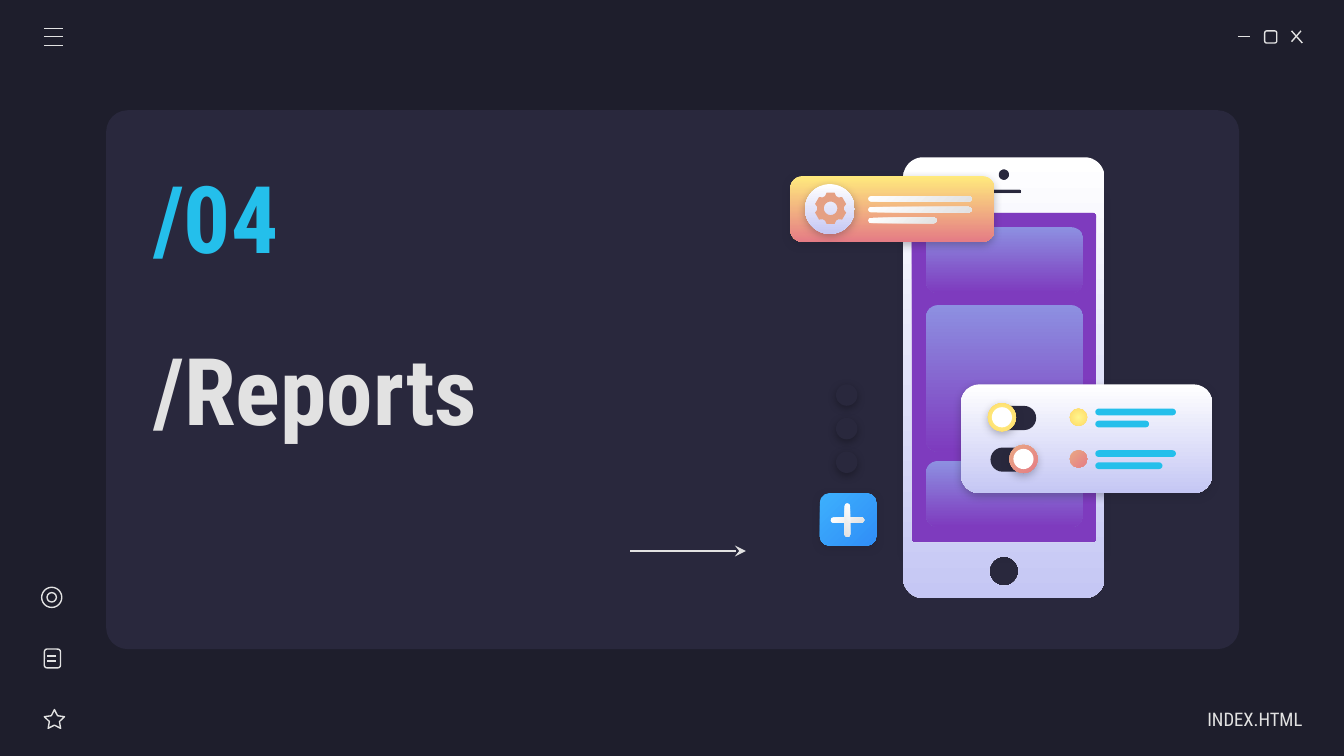
import math
from dataclasses import dataclass
from typing import Any

import lxml.etree
import pptx
import pptx.util
import pptx.dml.color
import pptx.enum.shapes
import pptx.enum.text
import pptx.oxml.ns

Inches = pptx.util.Inches
Pt = pptx.util.Pt
Kind = pptx.enum.shapes.MSO_SHAPE
Align = pptx.enum.text.PP_ALIGN
qn = pptx.oxml.ns.qn

DARK, PANEL, PALE, CYAN, WHITE = "1E1E2C", "29283D", "E2E2E2", "24BFEB", "FFFFFF"
PURPLE = "7E3BBE"


@dataclass(frozen=True)
class Grad:
    start: str
    end: str
    angle: int = 90
    round: bool = False


@dataclass(frozen=True)
class Part:
    x: float
    y: float
    w: float
    h: float
    fill: Any = None
    adj: float | None = None
    kind: Any = Kind.ROUNDED_RECTANGLE
    shade: str | None = None
    turn: int = 0


@dataclass(frozen=True)
class Stroke:
    x: float
    y: float
    to_x: float
    to_y: float


@dataclass(frozen=True)
class Switch:
    y: float
    knob: float
    fill: Grad
    short: float


SILVER = Grad(WHITE, "C5C7F4")
SHINE = Grad(WHITE, PALE, 45)
TILE = Grad("8D90E1", PURPLE)


def rgb(code: str) -> pptx.dml.color.RGBColor:
    return pptx.dml.color.RGBColor.from_string(code)


def paint(shape: Any, fill: str | Grad | None, shade: str | None = None) -> None:
    shape.shadow.inherit = False
    if fill is None:
        shape.fill.background()
        shape.line.color.rgb = rgb(PALE)
        shape.line.width = Pt(0.75)
    else:
        shape.line.fill.background()
    if isinstance(fill, str):
        shape.fill.solid()
        shape.fill.fore_color.rgb = rgb(fill)
    elif fill:
        shape.fill.gradient()
        shape.fill.gradient_angle = 360 - fill.angle
        for stop, code in zip(shape.fill.gradient_stops, (fill.start, fill.end)):
            stop.color.rgb = rgb(code)
        if fill.round:
            lin = shape.element.spPr.find(".//" + qn("a:lin"))
            ring = lxml.etree.Element(qn("a:path"), path="circle")
            lxml.etree.SubElement(ring, qn("a:fillToRect"), l="50000", t="50000", r="50000", b="50000")
            lin.getparent().replace(lin, ring)
    if shade:
        cast = lxml.etree.SubElement(
            shape.element.spPr.find(qn("a:effectLst")), qn("a:outerShdw"),
            blurRad=str(Pt(4.5)), dist=str(Pt(1.5)), dir="5400000", algn="bl", rotWithShape="0")
        tint = lxml.etree.SubElement(cast, qn("a:srgbClr"), val=shade)
        lxml.etree.SubElement(tint, qn("a:alpha"), val="30000")


def draw(host: Any, part: Part) -> None:
    shape = host.shapes.add_shape(part.kind, *map(Inches, (part.x, part.y, part.w, part.h)))
    if part.adj is not None:
        shape.adjustments[0] = part.adj
    shape.rotation = part.turn
    paint(shape, part.fill, part.shade)


def rule(host: Any, stroke: Stroke, head: str | None = None) -> None:
    line = host.shapes.add_connector(
        pptx.enum.shapes.MSO_CONNECTOR.STRAIGHT,
        *map(Inches, (stroke.x, stroke.y, stroke.to_x, stroke.to_y)))
    line.line.color.rgb = rgb(PALE)
    line.line.width = Pt(0.75)
    if head:
        lxml.etree.SubElement(line.element.spPr.find(qn("a:ln")), qn("a:tailEnd"), type=head)
    lxml.etree.SubElement(line.element.spPr, qn("a:effectLst"))


def curve(x: float, y: float, w: float, h: float, r: float) -> list[tuple[float, float]]:
    hubs = ((x + w - r, y + h - r), (x + r, y + h - r), (x + r, y + r), (x + w - r, y + r))
    turns = [(hub, math.radians(90 * k + 7.5 * s)) for k, hub in enumerate(hubs) for s in range(13)]
    return [(hx + r * math.cos(a), hy + r * math.sin(a)) for (hx, hy), a in turns]


def carve(host: Any, rings: list[list[tuple[float, float]]], fill: str | Grad) -> None:
    rings = [[(Inches(x), Inches(y)) for x, y in ring] for ring in rings]
    form = host.shapes.build_freeform(*rings[0][0], scale=1.0)
    for k, ring in enumerate(rings):
        if k:
            form.move_to(*ring[0])
        form.add_line_segments(ring[1:], close=True)
    paint(form.convert_to_shape(), fill)


def write(shape: Any, text: str, *, at: tuple[float, float, float, float], size: int,
          color: str, bold: bool = False, align: Any = Align.LEFT, right: float = 0.1) -> None:
    shape.left, shape.top, shape.width, shape.height = map(Inches, at)
    frame = shape.text_frame
    frame.word_wrap = True
    frame.auto_size = pptx.enum.text.MSO_AUTO_SIZE.NONE
    frame.vertical_anchor = pptx.enum.text.MSO_ANCHOR.MIDDLE
    frame.margin_left = frame.margin_top = frame.margin_bottom = Inches(0.1)
    frame.margin_right = Inches(right)
    line = frame.paragraphs[0]
    line.alignment = align
    line.space_before = Pt(0)
    run = line.add_run()
    run.text = text
    run.font.name, run.font.size, run.font.bold = "Roboto Condensed", Pt(size), bold
    run.font.color.rgb = rgb(color)
    shape.element.getparent().append(shape.element)


def icons(slide: Any) -> None:
    bar = slide.shapes.add_group_shape()
    rule(bar, Stroke(9.21, 0.27, 9.3, 0.27))
    draw(bar, Part(9.41, 0.23, 0.09, 0.09))
    rule(bar, Stroke(9.61, 0.23, 9.69, 0.32))
    rule(bar, Stroke(9.68, 0.23, 9.61, 0.31))
    menu = slide.shapes.add_group_shape()
    for y in (0.21, 0.27, 0.34):
        rule(menu, Stroke(0.33, y, 0.47, y))
    side = slide.shapes.add_group_shape()
    draw(side, Part(0.33, 5.28, 0.15, 0.14, adj=0.25, kind=Kind.STAR_5_POINT))
    draw(side, Part(0.33, 4.83, 0.12, 0.14))
    for y in (4.88, 4.92):
        rule(side, Stroke(0.35, y, 0.42, y))
    for x, y, d in ((0.31, 4.37, 0.15), (0.35, 4.41, 0.07)):
        draw(side, Part(x, y, d, d, kind=Kind.OVAL))


def phone(host: Any) -> None:
    draw(host, Part(6.74, 1.47, 1.46, 2.63, PURPLE, 0, shade=DARK))
    for y, h in ((1.69, 0.49), (2.27, 1.09), (3.43, 0.49)):
        draw(host, Part(6.89, y, 1.17, h, TILE, 0.09 / h))
    holes = [curve(7.43, 1.26, 0.08, 0.08, 0.04), curve(7.35, 1.41, 0.25, 0.03, 0.01),
             curve(6.78, 1.58, 1.38, 2.46, 0.03), curve(7.36, 4.14, 0.22, 0.22, 0.11)]
    carve(host, [curve(6.72, 1.17, 1.5, 3.28, 0.15)] + holes, SILVER)


def banner(host: Any) -> None:
    draw(host, Part(5.88, 1.31, 1.52, 0.49, Grad("FFEA7D", "E57C85"), 0.19, shade=DARK))
    draw(host, Part(5.99, 1.37, 0.37, 0.37, SILVER, kind=Kind.OVAL, shade=DARK))
    teeth = ((-0.42, 0.1), (-0.25, 0.12), (0.25, 0.12), (0.42, 0.1))
    gear = [(6.18 + r * math.sin(k * math.pi / 3 + a), 1.55 - r * math.cos(k * math.pi / 3 + a))
            for k in range(6) for a, r in teeth]
    carve(host, [gear, curve(6.13, 1.5, 0.1, 0.1, 0.05)], "E5A083")
    for k, w in enumerate((0.77, 0.77, 0.51)):
        draw(host, Part(6.46, 1.46 + 0.08 * k, w, 0.04, SHINE, 0.5))


def card(host: Any) -> None:
    draw(host, Part(7.15, 2.86, 1.87, 0.81, SILVER, 0.17, shade=DARK))
    gold = Grad("FFF68E", "FFD966", round=True)
    for s in (Switch(3, 7.35, gold, 0.4), Switch(3.31, 7.51, Grad("E9A984", "E57C85", 45), 0.5)):
        draw(host, Part(7.37, s.y + 0.02, 0.34, 0.18, PANEL, 0.5))
        draw(host, Part(s.knob, s.y, 0.21, 0.21, s.fill, kind=Kind.OVAL, shade=DARK))
        draw(host, Part(s.knob + 0.03, s.y + 0.03, 0.15, 0.15, WHITE, kind=Kind.OVAL))
        draw(host, Part(7.96, s.y + 0.04, 0.13, 0.13, s.fill, kind=Kind.OVAL))
        for y, w in ((0.04, 0.6), (0.13, s.short)):
            draw(host, Part(8.15, s.y + y, w, 0.05, CYAN, 0.5))


def button(host: Any) -> None:
    draw(host, Part(6.1, 3.67, 0.42, 0.39, Grad("3DB0FD", "308EF7", 45), 0.18, shade=DARK))
    for turn in (0, 90):
        draw(host, Part(6.18, 3.85, 0.25, 0.04, SHINE, 0.5, turn=turn))
    for k in range(3):
        draw(host, Part(6.22, 3.36 - 0.25 * k, 0.16, 0.16, PANEL, kind=Kind.OVAL, shade="000000", turn=90))


def main() -> None:
    deck = pptx.Presentation()
    deck.slide_width = Inches(10)
    deck.slide_height = deck.slide_width * 9 // 16
    slide = deck.slides.add_slide(deck.slide_layouts[0])
    slide.background.fill.solid()
    slide.background.fill.fore_color.rgb = rgb(DARK)
    draw(slide, Part(0.79, 0.82, 8.43, 4.01, PANEL, 0.04))
    icons(slide)
    write(slide.placeholders[1], "INDEX.HTML", at=(8.52, 5.2, 1.17, 0.3), size=10,
          color=PALE, align=Align.RIGHT, right=0)
    write(slide.shapes.title, "/Reports", at=(1.04, 2.07, 4.3, 1.64), size=50, color=PALE, bold=True)
    label = slide.shapes.add_textbox(0, 0, 0, 0)
    write(label, "/04", at=(1.04, 1.15, 1.78, 0.92), size=50, color=CYAN, bold=True)
    rule(slide, Stroke(4.69, 4.1, 5.55, 4.1), "stealth")
    scene = slide.shapes.add_group_shape()
    for build in (phone, banner, card, button):
        build(scene)
    deck.save("out.pptx")


if __name__ == "__main__":
    main()
